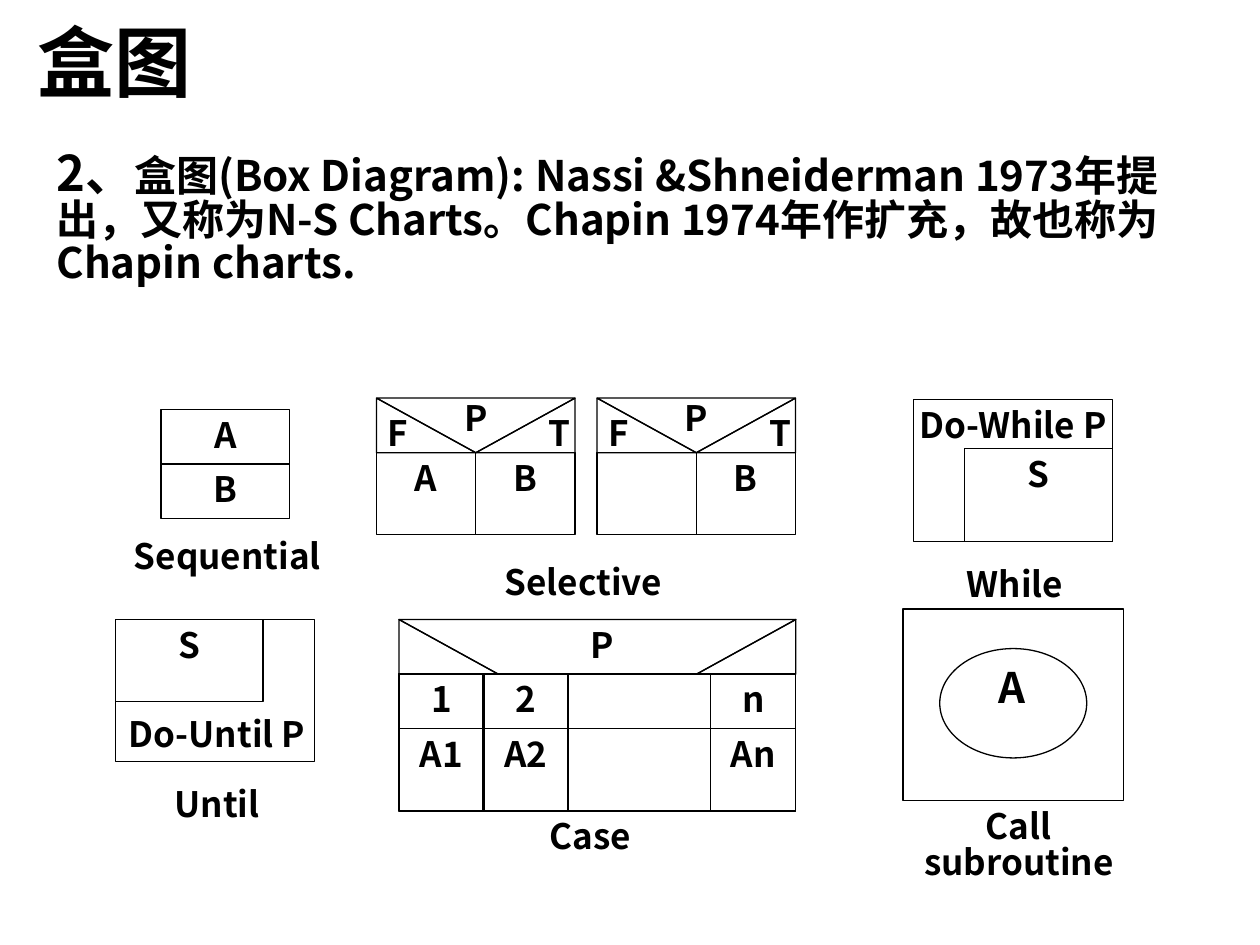
from dataclasses import dataclass

from pptx import Presentation
from pptx.dml.color import RGBColor
from pptx.enum.shapes import MSO_SHAPE as Preset
from pptx.enum.text import MSO_ANCHOR as Anchor, PP_ALIGN as Align
from pptx.util import Pt


@dataclass(frozen=True)
class Theme:
    font: str = "Noto Sans CJK SC"
    ink: RGBColor = RGBColor(0, 0, 0)
    title: int = 44
    lead: int = 28
    body: int = 24
    label: int = 20
    line: float = 0.75
    spacing: float = 0.85


THEME = Theme()

# Insets: left, top, right, bottom
CAPTION = (0, 5.8, 0, 0.7)
TIGHT = (1.4, 5.8, 1.4, 0.7)
ROOMY = (7.2, 5.8, 7.2, 3.6)
DEFAULT = (7.2, 3.6, 7.2, 3.6)

# Shared measures
ROW = 31.2      # height of a condition row
BODY = 47       # height of a body box
BRANCH = 56.7   # width of one branch


def style_run(run, size):
    font = run.font
    font.name, font.size, font.bold = THEME.font, Pt(size), True
    font.color.rgb = THEME.ink
    properties = run._r.get_or_add_rPr()
    east_asian = properties.makeelement(
        properties.find("{*}latin").tag.replace("latin", "ea"), {"typeface": THEME.font})
    properties.find("{*}latin").addnext(east_asian)


def set_frame(text_frame, insets, anchor=Anchor.TOP):
    text_frame.word_wrap = True
    text_frame.vertical_anchor = anchor
    (text_frame.margin_left, text_frame.margin_top,
     text_frame.margin_right, text_frame.margin_bottom) = map(Pt, insets)


def write(shape, text, insets, size=THEME.label, align=Align.CENTER, anchor=Anchor.TOP):
    set_frame(shape.text_frame, insets, anchor)
    shape.text_frame.text = text
    paragraph = shape.text_frame.paragraphs[0]
    paragraph.alignment = align
    paragraph.line_spacing = THEME.spacing
    style_run(paragraph.runs[0], size)


def outline(shape):
    shape.shadow.inherit = False
    shape.fill.background()
    shape.line.color.rgb = THEME.ink
    shape.line.width = Pt(THEME.line)


def add_box(group, left, top, width, height, text="", insets=TIGHT,
            preset=Preset.RECTANGLE, flip=None):
    shape = group.shapes.add_shape(preset, Pt(left), Pt(top), Pt(width), Pt(height))
    outline(shape)
    if flip:
        shape._element.spPr.xfrm.set(flip, "1")
    if text:
        write(shape, text, insets)


def add_label(parent, text, left, top, width, height=ROW, insets=CAPTION, **style):
    box = parent.shapes.add_textbox(Pt(left), Pt(top), Pt(width), Pt(height))
    write(box, text, insets, **style)


def add_corners(group, left, top, width):
    """Right triangles at both ends of a condition row."""
    add_box(group, left, top, BRANCH, ROW, preset=Preset.RIGHT_TRIANGLE)
    add_box(group, left + width - BRANCH, top, BRANCH, ROW,
            preset=Preset.RIGHT_TRIANGLE, flip="flipH")


def add_heading(slide):
    add_label(slide, "盒图", 14.4, 0, 546, 64.8, DEFAULT,
              size=THEME.title, align=Align.LEFT, anchor=Anchor.BOTTOM)
    box = slide.shapes.add_textbox(Pt(25.2), Pt(82.8), Pt(658), Pt(98.6))
    set_frame(box.text_frame, DEFAULT)
    paragraph = box.text_frame.paragraphs[0]
    paragraph.line_spacing = THEME.spacing
    for text, size in (
        ("2、", THEME.lead),
        ("盒图(Box Diagram): Nassi &Shneiderman 1973年提出，又称为N-S Charts。"
         "Chapin 1974年作扩充，故也称为Chapin charts.", THEME.body),
    ):
        run = paragraph.add_run()
        run.text = text
        style_run(run, size)


def add_sequential(group):
    add_label(group, "Sequential", 72, 303.4, 116)
    for row, text in enumerate("AB"):
        add_box(group, 92, 234 + row * ROW, 73.5, ROW, text)


def add_selective(group):
    top = 227.5
    for left, bodies in ((215.2, ("A", "B")), (341.2, ("", "B"))):
        add_box(group, left, top, 2 * BRANCH, ROW,
                preset=Preset.ISOSCELES_TRIANGLE, flip="flipV")
        add_corners(group, left, top, 2 * BRANCH)
        for text, offset, drop in (("P", 41.7, -3), ("F", -2.8, 5.8), ("T", 89.5, 5.8)):
            add_label(group, text, left + offset, top + drop, 30.2, 33.8, TIGHT)
        for column, text in enumerate(bodies):
            add_box(group, left + column * BRANCH, top + ROW, BRANCH, BODY, text, ROOMY)
    add_label(group, "Selective", 275.8, 318.2, 115)


def add_while(group):
    add_box(group, 522, 228.2, 113.6, 81.2)
    add_label(group, "Do-While P", 522, 228.2, 113.6, insets=TIGHT)
    add_box(group, 551.3, 256.4, 84.3, 53, "S", ROOMY)
    add_label(group, "While", 522, 319, 116)


def add_until(group):
    add_box(group, 66, 354, 113.6, 81.2)
    add_label(group, "Do-Until P", 66, 404.8, 116, insets=TIGHT)
    add_box(group, 66, 354, 84.3, BODY, "S", ROOMY)
    add_label(group, "Until", 66, 445, 116)


def add_case(group):
    left, top, width, cell = 228, 354, 4 * BRANCH, 48.7
    right = left + width
    add_label(group, "Case", 280, 463, 115)
    add_label(group, "P", 329, top, 30.2, 33.8, TIGHT)
    # Condition row
    builder = group.shapes.build_freeform(Pt(left), Pt(top))
    builder.add_line_segments([
        (Pt(left + BRANCH), Pt(top + ROW)),
        (Pt(right - BRANCH), Pt(top + ROW)),
        (Pt(right), Pt(top)),
    ])
    outline(builder.convert_to_shape())
    add_corners(group, left, top, width)
    # Values and their bodies
    for row_top, height, texts in (
        (top + ROW, ROW, ("1", "2", "n")),
        (top + 2 * ROW, BODY, ("A1", "A2", "An")),
    ):
        add_box(group, left, row_top, width, height)
        for cell_left, text in zip((left, left + 48, right - cell), texts):
            add_box(group, cell_left, row_top, cell, height, text)


def add_call(group):
    add_label(group, "Call subroutine", 516, 457.5, 132.5)
    add_box(group, 516, 348, 126, 109.4)
    add_box(group, 537, 370.6, 84, 62.5, preset=Preset.OVAL)
    add_label(group, "A", 550.8, 376.6, 55.4, 38.9, ROOMY, size=THEME.body)


def main():
    presentation = Presentation()
    presentation.slide_width, presentation.slide_height = Pt(720), Pt(540)
    slide = presentation.slides.add_slide(presentation.slide_layouts[6])
    for add_diagram in (add_sequential, add_selective, add_while,
                        add_until, add_case, add_call):
        add_diagram(slide.shapes.add_group_shape())
    add_heading(slide)
    presentation.save("out.pptx")


if __name__ == "__main__":
    main()
